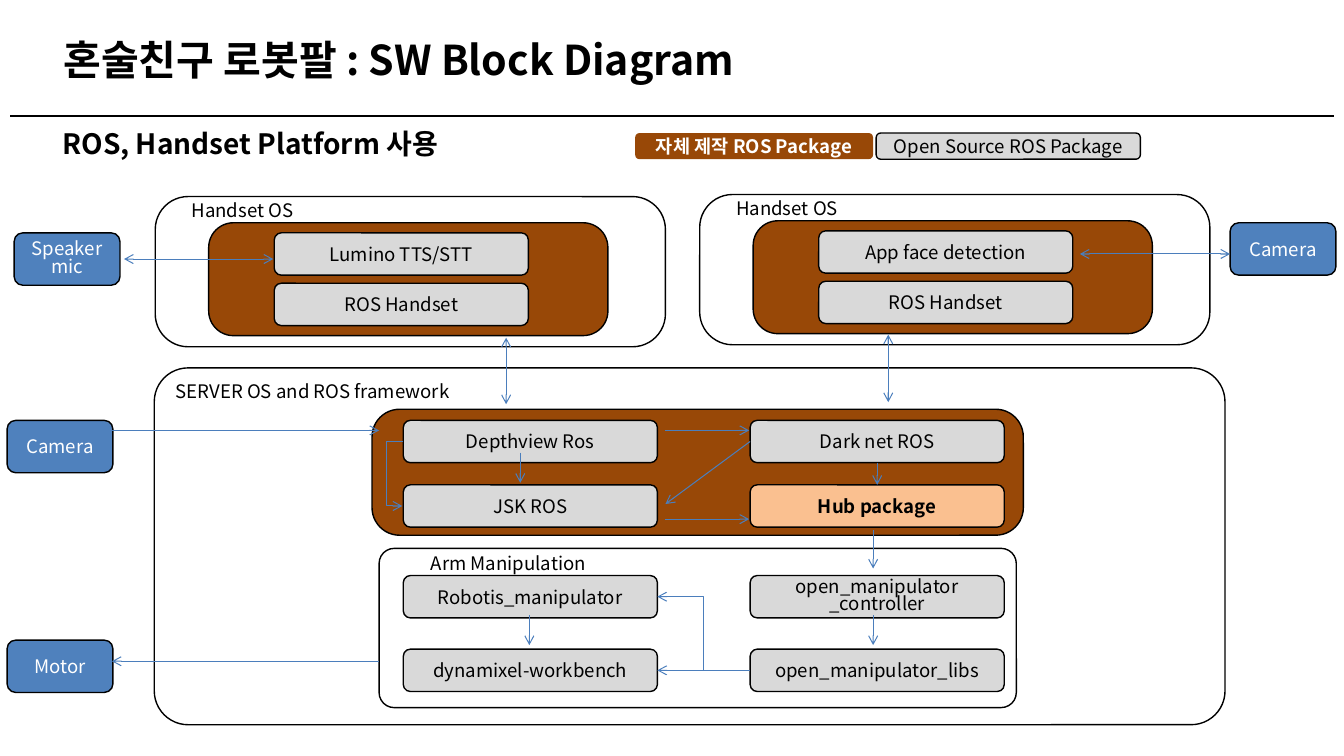
from lxml.etree import SubElement
from pptx import Presentation
from pptx.dml.color import RGBColor
from pptx.enum.shapes import MSO_CONNECTOR, MSO_SHAPE
from pptx.enum.text import MSO_ANCHOR, PP_ALIGN
from pptx.oxml.ns import qn
from pptx.util import Emu, Pt

PX = 9144
FONT = "Noto Sans CJK KR"
COLORS = {
    "black": "000000", "white": "FFFFFF", "brown": "984807", "gray": "D9D9D9",
    "peach": "FAC090", "blue": "4F81BD", "arrow": "4B7EBC",
}

TEXTS = [
    ("혼술친구 로봇팔 : SW Block Diagram", (53, 29, 728, 59), 29.3),
    ("ROS, Handset Platform 사용", (52, 120, 833, 44), 20),
]
FRAMES = [
    ((153, 365, 1062, 354), 0.095, None),
    ((369, 406, 646, 125), 0.219, "brown"),
    ((376, 544, 632, 158), 0.095, None),
]
LABELS = [
    ("SERVER OS and ROS framework", (163, 375, 420, 25)),
    ("Arm Manipulation", (416, 544, 288, 29)),
]
LEGEND = [
    ("자체 제작 ROS Package", (630, 132, 236, 26), "brown", None, "white", True),
    ("Open Source ROS Package", (869, 132, 262, 26), "gray", "black", "black", False),
]
PHONES = [
    (154, 195, "Lumino TTS/STT"),
    (694, 193, "App face detection"),
]
PACKAGE_COLUMNS = (400, 744)
PACKAGE_ROWS = [
    (417, ("Depthview Ros", "Dark net ROS")),
    (481, ("JSK ROS", "Hub package")),
    (571, ("Robotis_manipulator", "open_manipulator\n_controller")),
    (644, ("dynamixel-workbench", "open_manipulator_libs")),
]
PACKAGE_SIZE = (252, 42)
DEVICES = [
    ("Speaker\nmic", 14, 231),
    ("Camera", 7, 417),
    ("Motor", 7, 635),
    ("Camera", 1220, 221),
]
DEVICE_SIZE = (105, 52)
ARROWS = [
    ((111, 427), (376, 427), "tail"),
    ((660, 427), (743, 427), "tail"),
    ((660, 515), (743, 515), "tail"),
    ((516, 449), (516, 479), "tail"),
    ((866, 526), (866, 564), "tail"),
    ((866, 610), (866, 640), "tail"),
    ((525, 610), (525, 640), "tail"),
    ((111, 656), (376, 656), "head"),
    ((123, 257), (271, 257), "both"),
    ((1071, 252), (1220, 252), "both"),
    ((502, 335), (502, 401), "both"),
    ((881, 332), (881, 399), "both"),
]
TOP, LEFT, BOTTOM, RIGHT = range(4)

presentation = Presentation()
presentation.slide_width = Emu(1333 * PX)
presentation.slide_height = Emu(750 * PX)
slide = presentation.slides.add_slide(presentation.slide_layouts[6])


def color(name):
    return RGBColor.from_string(COLORS[name])


def write(shape, text, size=13.3, ink="black", bold=False, align=PP_ALIGN.LEFT):
    frame = shape.text_frame
    frame.word_wrap = True
    frame.vertical_anchor = MSO_ANCHOR.MIDDLE
    frame.text = text
    for paragraph in frame.paragraphs:
        paragraph.alignment = align
        if len(frame.paragraphs) > 1:
            paragraph.line_spacing = 0.8
        for run in paragraph.runs:
            run.font.size = Pt(size)
            run.font.bold = bold
            run.font.color.rgb = color(ink)
            run.font.name = FONT
            SubElement(run.font._element, qn("a:ea"), typeface=FONT)


def add_box(bounds, fill=None, line="black", corner=None):
    shape = slide.shapes.add_shape(
        MSO_SHAPE.ROUNDED_RECTANGLE, *[Emu(value * PX) for value in bounds])
    shape.shadow.inherit = False
    if corner:
        shape.adjustments[0] = corner
    if fill:
        shape.fill.solid()
        shape.fill.fore_color.rgb = color(fill)
    else:
        shape.fill.background()
    if line:
        shape.line.color.rgb = color(line)
        shape.line.width = Pt(1)
    else:
        shape.line.fill.background()
    return shape


def add_label(text, bounds):
    write(add_box(bounds, line=None), text)


def add_package(text, left, top):
    is_hub = text == "Hub package"
    shape = add_box((left, top, *PACKAGE_SIZE), "peach" if is_hub else "gray")
    write(shape, text, bold=is_hub, align=PP_ALIGN.CENTER)
    return shape


def add_line(start, end, heads="tail", kind=MSO_CONNECTOR.STRAIGHT, ink="arrow", width=0.75):
    connector = slide.shapes.add_connector(
        kind, *[Emu(value * PX) for value in (*start, *end)])
    connector.line.color.rgb = color(ink)
    connector.line.width = Pt(width)
    outline = connector.line._get_or_add_ln()
    for side, tag in (("head", "a:headEnd"), ("tail", "a:tailEnd")):
        if heads in (side, "both"):
            SubElement(outline, qn(tag), type="arrow")
    SubElement(connector._element.spPr, qn("a:effectLst"))
    return connector


for text, bounds, size in TEXTS:
    box = slide.shapes.add_textbox(*[Emu(value * PX) for value in bounds])
    write(box, text, size, bold=True)
add_line((10, 115), (1323, 115), None, ink="black", width=1.5)

for bounds, corner, fill in FRAMES:
    add_box(bounds, fill, corner=corner)
for text, bounds in LABELS:
    add_label(text, bounds)
for text, bounds, fill, line, ink, bold in LEGEND:
    write(add_box(bounds, fill, line), text, ink=ink, bold=bold, align=PP_ALIGN.CENTER)

for left, top, service in PHONES:
    add_box((left, top, 506, 149), corner=0.219)
    add_box((left + 53, top + 26, 396, 112), "brown", corner=0.219)
    add_label("Handset OS", (left + 25, top + 1, 420, 25))
    for row, text in enumerate((service, "ROS Handset")):
        add_package(text, left + 118, top + 36 + 50 * row)

packages = {}
for top, names in PACKAGE_ROWS:
    for left, name in zip(PACKAGE_COLUMNS, names):
        packages[name] = add_package(name, left, top)

for text, left, top in DEVICES:
    device = add_box((left, top, *DEVICE_SIZE), "blue")
    frame = device.text_frame
    frame.margin_left = frame.margin_right = frame.margin_top = frame.margin_bottom = 0
    write(device, text, ink="white", align=PP_ALIGN.CENTER)

for start, end, heads in ARROWS:
    add_line(start, end, heads)

detector_to_hub = add_line((870, 459), (870, 481))
detector_to_hub.begin_connect(packages["Dark net ROS"], BOTTOM)
detector_to_hub.end_connect(packages["Hub package"], TOP)

detector_to_jsk = add_line((744, 438), (660, 500))
detector_to_jsk.begin_connect(packages["Dark net ROS"], LEFT)

into_workbench = add_line((652, 665), (701, 665), "head")
into_workbench.begin_connect(packages["dynamixel-workbench"], RIGHT)

libs_to_manipulator = add_line((744, 665), (652, 592), kind=MSO_CONNECTOR.ELBOW)
libs_to_manipulator.begin_connect(packages["open_manipulator_libs"], LEFT)
libs_to_manipulator.end_connect(packages["Robotis_manipulator"], RIGHT)

camera_to_jsk = add_line((400, 438), (399, 502), kind=MSO_CONNECTOR.ELBOW)
guides = camera_to_jsk._element.spPr.find(qn("a:prstGeom")).find(qn("a:avLst"))
SubElement(guides, qn("a:gd"), name="adj1", fmla="val 1700000")

presentation.save("out.pptx")
